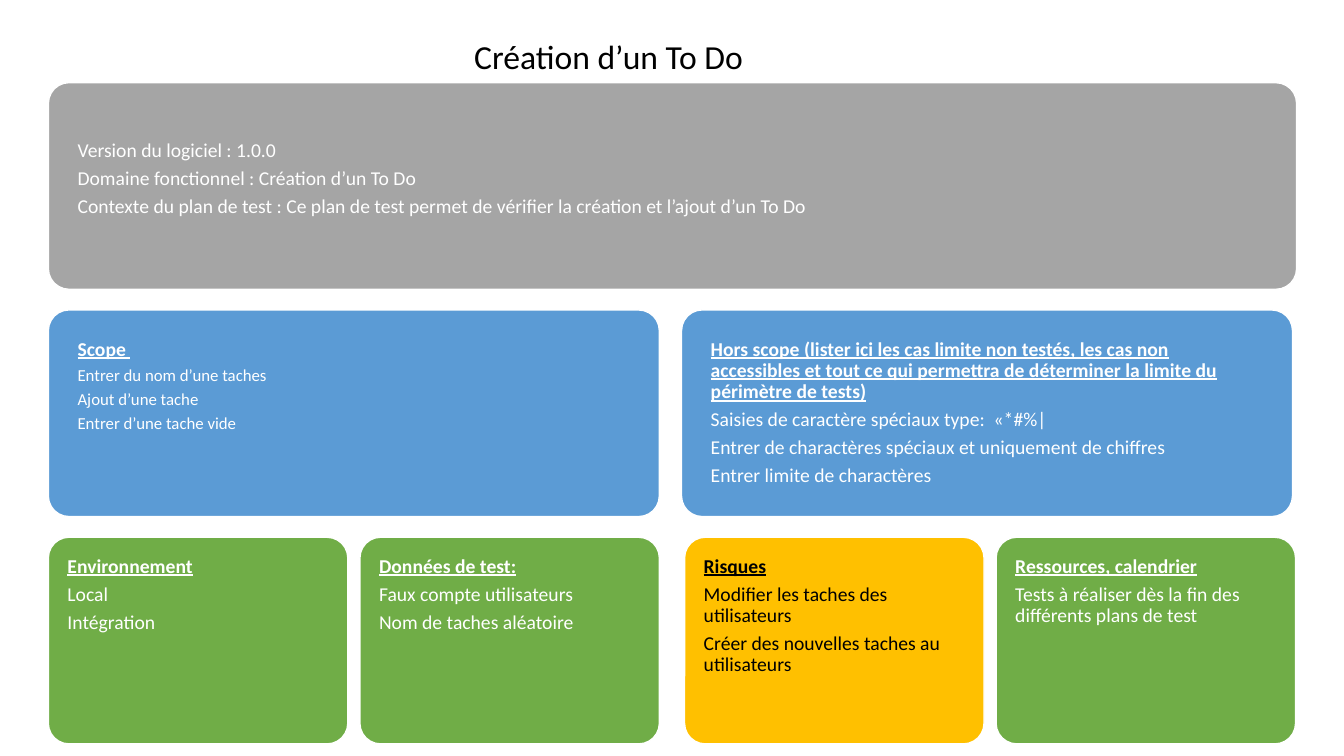
from pptx import Presentation
from pptx.dml.color import RGBColor
from pptx.enum.shapes import MSO_SHAPE
from pptx.enum.text import MSO_ANCHOR, PP_ALIGN
from pptx.util import Inches, Pt

HUES = {"grey": "A5A5A5", "blue": "5B9BD5", "green": "70AD47",
        "gold": "FFC000", "white": "FFFFFF", "black": "000000"}

# Grid: three rows; one, two and four columns
LEFT, TOP = 0.48, 0.82
HIGH, STEP = 2.05, 2.255
FULL, HALF, QUART = 12.38, 6.06, 2.97
QUARTS = [LEFT + half * 6.31 + part * 3.09 for half in (0, 1) for part in (0, 1)]


def color(name):
    return RGBColor.from_string(HUES[name])


def style(para, size, ink):
    para.font.name = "Calibri"
    para.font.size = Pt(size)
    para.font.color.rgb = color(ink)
    para.line_spacing = 0.9
    para.space_after = Pt(size * 0.35)


deck = Presentation()
deck.slide_width, deck.slide_height = Inches(13.33), Inches(7.5)
slide = deck.slides.add_slide(deck.slide_layouts[5])

# Title
title = slide.shapes.title
title.left, title.top = Inches(2.7), Inches(0.35)
title.width, title.height = Inches(6.67), Inches(0.46)
title.text_frame.text = "Création d’un To Do"
title.text_frame.vertical_anchor = MSO_ANCHOR.TOP
head = title.text_frame.paragraphs[0]
head.alignment = PP_ALIGN.CENTER
style(head, 24, "black")

# Cards: row, left, width, fill, ink, margin, top margin, body size, heading, body
cards = [
    (0, LEFT, FULL, "grey", "white", 0.23, 0.51, 14, None,
     ["Version du logiciel : 1.0.0",
      "Domaine fonctionnel : Création d’un To Do",
      "Contexte du plan de test : Ce plan de test permet de vérifier "
      "la création et l’ajout d’un To Do"]),
    (1, LEFT, HALF, "blue", "white", 0.23, 0.23, 12, "Scope ",
     ["Entrer du nom d’une taches", "Ajout d’une tache",
      "Entrer d’une tache vide"]),
    (1, LEFT + 6.28, HALF, "blue", "white", 0.23, 0.23, 14,
     "Hors scope (lister ici les cas limite non testés, les cas non accessibles "
     "et tout ce qui permettra de déterminer la limite du périmètre de tests)",
     ["Saisies de caractère spéciaux type:  «*#%|",
      "Entrer de charactères spéciaux et uniquement de chiffres",
      "Entrer limite de charactères"]),
    (2, QUARTS[0], QUART, "green", "white", 0.13, 0.13, 14, "Environnement",
     ["Local", "Intégration"]),
    (2, QUARTS[1], QUART, "green", "white", 0.13, 0.13, 14, "Données de test:",
     ["Faux compte utilisateurs", "Nom de taches aléatoire"]),
    (2, QUARTS[2], QUART, "gold", "black", 0.13, 0.13, 14, "Risques",
     ["Modifier les taches des utilisateurs",
      "Créer des nouvelles taches au utilisateurs"]),
    (2, QUARTS[3], QUART, "green", "white", 0.13, 0.13, 14,
     "Ressources, calendrier",
     ["Tests à réaliser dès la fin des différents plans de test"]),
]

for row, left, width, fill, ink, pad, drop, size, label, body in cards:
    card = slide.shapes.add_shape(
        MSO_SHAPE.ROUNDED_RECTANGLE, Inches(left), Inches(TOP + row * STEP),
        Inches(width), Inches(HIGH))
    card.adjustments[0] = 0.1
    card.shadow.inherit = False
    card.fill.solid()
    card.fill.fore_color.rgb = color(fill)
    card.line.color.rgb = color("white")
    card.line.width = Pt(1)

    # Card text
    frame = card.text_frame
    frame.word_wrap = True
    frame.vertical_anchor = MSO_ANCHOR.TOP
    frame.margin_left = frame.margin_right = frame.margin_bottom = Inches(pad)
    frame.margin_top = Inches(drop)
    lines = [label] + body if label else body
    frame.text = "\n".join(lines)
    for rank, para in enumerate(frame.paragraphs):
        first = rank == 0 and label is not None
        style(para, 14 if first else size, ink)
        para.alignment = PP_ALIGN.LEFT
        para.font.bold = para.font.underline = first

deck.save("out.pptx")
